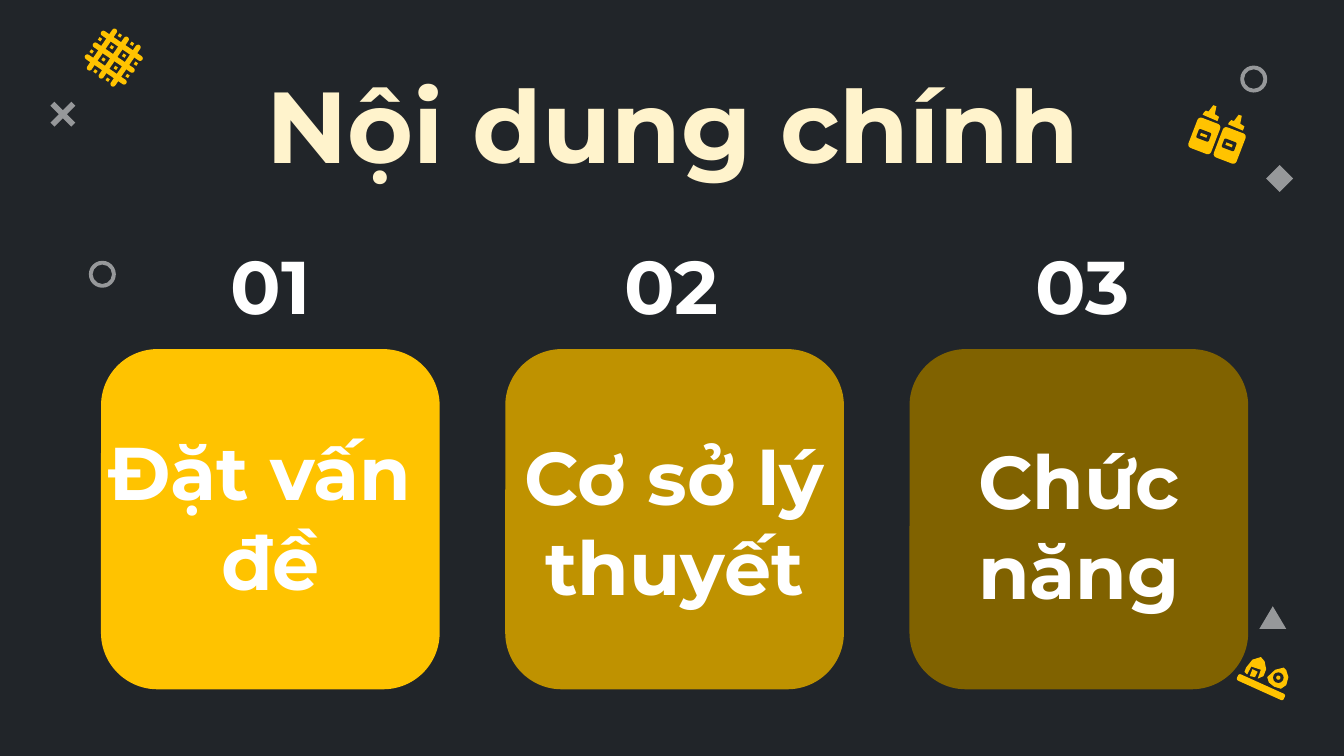
from dataclasses import dataclass
from itertools import product
from math import cos, radians, sin

from lxml import etree
from pptx import Presentation
from pptx.dml.color import RGBColor
from pptx.enum.shapes import MSO_SHAPE
from pptx.enum.text import MSO_ANCHOR, MSO_AUTO_SIZE, PP_ALIGN
from pptx.oxml.ns import qn
from pptx.util import Cm, Pt

ROUNDED = MSO_SHAPE.ROUNDED_RECTANGLE
RECTANGLE = MSO_SHAPE.RECTANGLE
OVAL = MSO_SHAPE.OVAL
DONUT = MSO_SHAPE.DONUT
CROSS = MSO_SHAPE.MATH_MULTIPLY
TRIANGLE = MSO_SHAPE.ISOSCELES_TRIANGLE
DIAMOND = MSO_SHAPE.DIAMOND
TOP = MSO_ANCHOR.TOP
MIDDLE = MSO_ANCHOR.MIDDLE
CENTER = PP_ALIGN.CENTER
NO_AUTOFIT = MSO_AUTO_SIZE.NONE
TITLE_ONLY = 5


@dataclass(frozen=True)
class Theme:
    font: str = "Montserrat"
    background: str = "212529"
    gold: str = "FFC300"
    amber: str = "BF9200"
    bronze: str = "806200"
    cream: str = "FFF3CC"
    white: str = "FFFFFF"
    mark_opacity: int = 53
    title_size: int = 54
    card_size: int = 40


class SlideBuilder:
    def __init__(self, slide, theme):
        self.slide = slide
        self.theme = theme
        fill = slide.background.fill
        fill.solid()
        fill.fore_color.rgb = RGBColor.from_string(theme.background)

    def paint(self, shape, color):
        shape.shadow.inherit = False
        shape.fill.solid()
        shape.fill.fore_color.rgb = RGBColor.from_string(color)
        shape.line.fill.background()
        return shape

    def block(self, kind, left, top, width, height, color):
        shape = self.slide.shapes.add_shape(kind, Cm(left), Cm(top), Cm(width), Cm(height))
        return self.paint(shape, color)

    def tilted(self, kind, x, y, width, height, color, angle=0, corner=None):
        shape = self.block(kind, x - width / 2, y - height / 2, width, height, color)
        shape.rotation = angle
        if corner is not None:
            shape.adjustments[0] = corner

    def mark(self, kind, left, top, width, height, thickness=None):
        shape = self.block(kind, left, top, width, height, self.theme.white)
        if thickness is not None:
            shape.adjustments[0] = thickness
        color = shape.element.spPr.find(qn("a:solidFill"))[0]
        etree.SubElement(color, qn("a:alpha"), val=str(self.theme.mark_opacity * 1000))

    def outline(self, points, color):
        start, *rest = [(Cm(x), Cm(y)) for x, y in points]
        builder = self.slide.shapes.build_freeform(*start)
        builder.add_line_segments(rest)
        self.paint(builder.convert_to_shape(), color)

    def set_text(self, shape, lines, size, color, anchor):
        frame = shape.text_frame
        frame.word_wrap = True
        frame.auto_size = NO_AUTOFIT
        frame.vertical_anchor = anchor
        frame.margin_left = frame.margin_right = Cm(0.25)
        frame.margin_top = frame.margin_bottom = Cm(0.25)
        frame.text = "\n".join(lines)
        for paragraph in frame.paragraphs:
            paragraph.alignment = CENTER
            paragraph.line_spacing = 1
            paragraph.space_before = Pt(0)
            font = paragraph.font
            font.name = self.theme.font
            font.size = Pt(size)
            font.bold = True
            font.color.rgb = RGBColor.from_string(color)

    def title(self, wording, left, top, width, height):
        heading = self.slide.shapes.title
        heading.left, heading.top = Cm(left), Cm(top)
        heading.width, heading.height = Cm(width), Cm(height)
        self.set_text(heading, [wording], self.theme.title_size, self.theme.cream, TOP)

    def label(self, lines, left, top, width, height, anchor):
        box = self.slide.shapes.add_textbox(Cm(left), Cm(top), Cm(width), Cm(height))
        self.set_text(box, lines, self.theme.card_size, self.theme.white, anchor)

    def lattice(self, x, y, angle):
        gold = self.theme.gold
        across, down = cos(radians(angle)), sin(radians(angle))

        def place(u, v):
            return x + u * across - v * down, y + u * down + v * across

        for offset in (-0.27, 0, 0.27):
            self.tilted(ROUNDED, *place(0, offset), 0.94, 0.1, gold, angle, 0.5)
            self.tilted(ROUNDED, *place(offset, 0), 0.1, 0.94, gold, angle, 0.5)
        for u, v in product((-0.41, -0.14, 0.14, 0.41), repeat=2):
            if abs(u) + abs(v) < 0.8:
                self.tilted(RECTANGLE, *place(u, v), 0.06, 0.06, gold, angle)

    def bottle(self, x, y, angle):
        gold = self.theme.gold
        cap = [(0.17, -0.58), (0.08, -0.46), (0.03, -0.48), (-0.01, -0.44), (-0.03, -0.4),
               (0.25, -0.28), (0.28, -0.36), (0.2, -0.41), (0.23, -0.56)]
        self.tilted(ROUNDED, x, y, 0.46, 0.61, gold, angle, 0.15)
        self.tilted(ROUNDED, x - 0.01, y - 0.01, 0.25, 0.18, self.theme.background, angle)
        self.tilted(RECTANGLE, x - 0.01, y - 0.01, 0.13, 0.05, gold, angle)
        self.outline([(x + dx, y + dy) for dx, dy in cap], gold)

    def sushi(self):
        gold = self.theme.gold
        roll = [(24.26, 12.62), (24.1, 12.66), (23.95, 12.8), (23.98, 12.9), (24.08, 12.98),
                (24.21, 13.02), (24.31, 12.95), (24.35, 12.8), (24.31, 12.67)]
        rice = [(23.83, 12.42), (23.67, 12.47), (23.55, 12.62), (23.52, 12.7),
                (23.57, 12.75), (23.65, 12.6), (23.83, 12.66), (23.77, 12.83),
                (23.88, 12.78), (23.93, 12.65), (23.9, 12.5)]
        filling = [(23.67, 12.65), (23.62, 12.78), (23.72, 12.8), (23.77, 12.7)]
        for piece in (roll, rice, filling):
            self.outline(piece, gold)
        self.tilted(OVAL, 24.16, 12.81, 0.2, 0.2, self.theme.background)
        self.tilted(OVAL, 24.16, 12.81, 0.08, 0.08, gold)
        self.tilted(ROUNDED, 23.83, 12.99, 0.97, 0.13, gold, 24.3, 0.3)


def main():
    deck = Presentation()
    deck.slide_width, deck.slide_height = Cm(25.4), Cm(14.29)
    theme = Theme()
    agenda = SlideBuilder(deck.slides.add_slide(deck.slide_layouts[TITLE_ONLY]), theme)

    agenda.title("Nội dung chính", 4.44, 0.94, 16.54, 1.32)
    agenda.sushi()
    agenda.lattice(2.15, 1.09, 34.2)
    for step in range(2):
        agenda.bottle(22.76 + 0.48 * step, 2.57 + 0.18 * step, 21)

    agenda.mark(DONUT, 23.44, 1.24, 0.51, 0.51, 0.14)
    agenda.mark(DONUT, 1.68, 4.93, 0.51, 0.51, 0.14)
    agenda.mark(CROSS, 0.81, 1.78, 0.76, 0.76, 0.14)
    agenda.mark(TRIANGLE, 23.8, 11.46, 0.51, 0.43)
    agenda.mark(DIAMOND, 23.93, 3.12, 0.51, 0.51)

    sections = [
        ("01", ["Đặt vấn ", "đề"], theme.gold, 3.91, 7.8),
        ("02", ["Cơ sở lý thuyết"], theme.amber, 11.48, 7.9),
        ("03", ["Chức năng"], theme.bronze, 19.25, 7.98),
    ]
    for index, (number, topic, color, number_left, topic_top) in enumerate(sections):
        shift = 7.64 * index
        agenda.block(ROUNDED, 1.91 + shift, 6.6, 6.4, 6.43, color)
        agenda.label([number], number_left, 4.78, 2.41, 1.22, MIDDLE)
        agenda.label(topic, 1.45 + shift, topic_top, 7.32, 1.32, TOP)

    deck.save("out.pptx")


if __name__ == "__main__":
    main()
